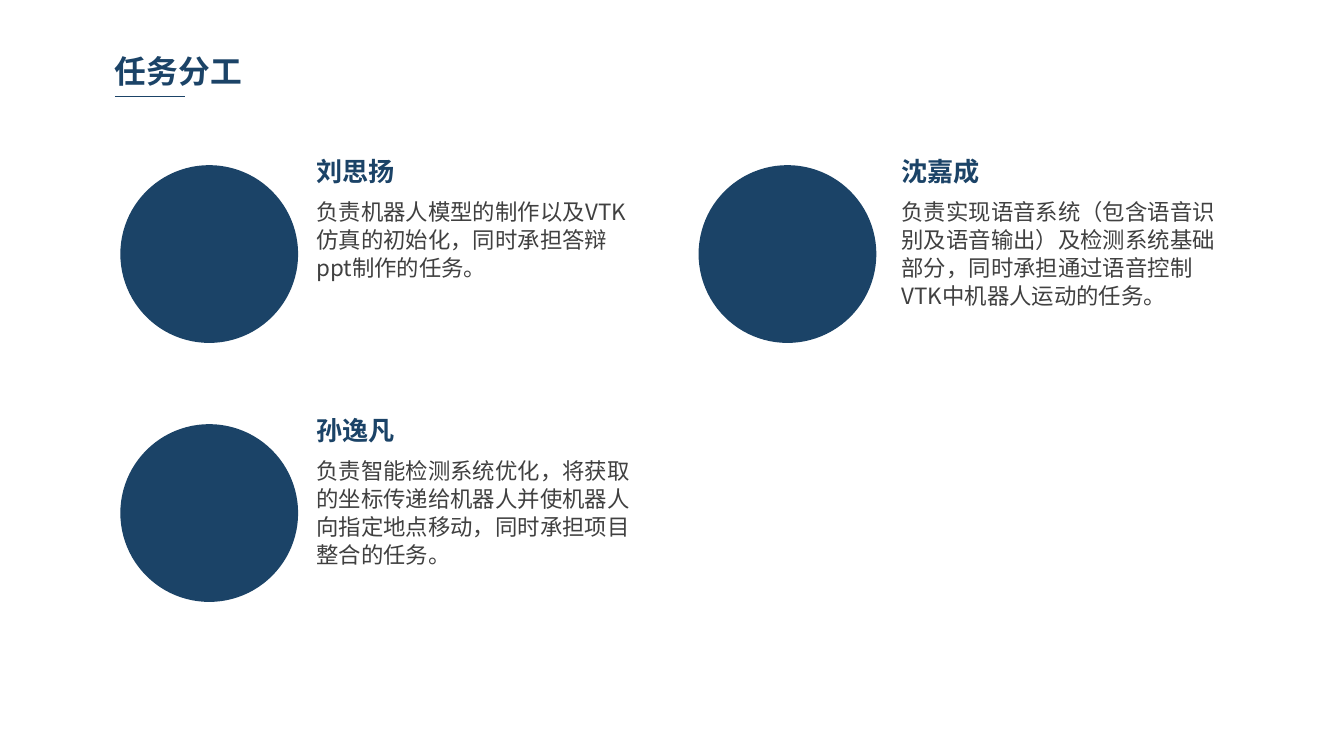
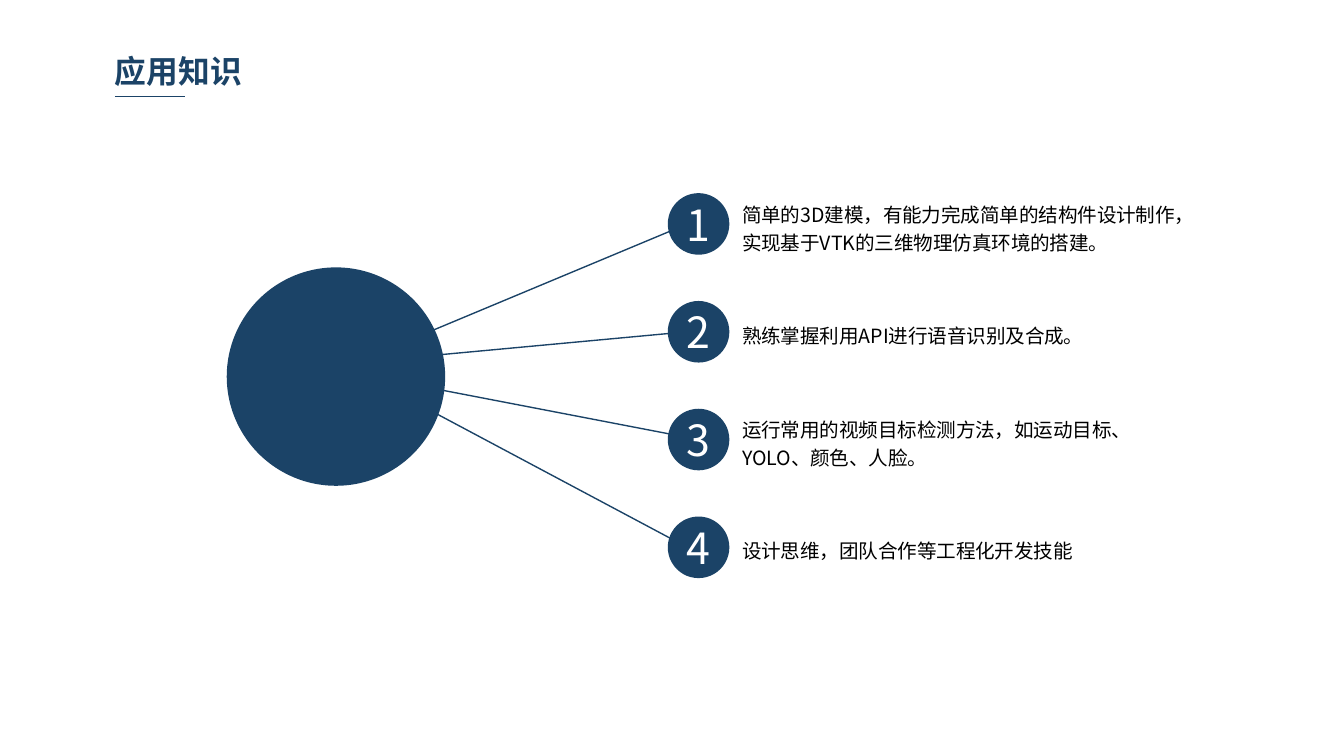
from dataclasses import dataclass

from pptx import Presentation
from pptx import util as u
from pptx.dml.color import RGBColor
from pptx.enum import shapes, text
from pptx.oxml.ns import qn

# Content
ROLES = [
    ("刘思扬", "负责机器人模型的制作以及VTK仿真的初始化，同时承担答辩ppt制作的任务。"),
    ("沈嘉成", "负责实现语音系统（包含语音识别及语音输出）及检测系统基础部分，"
               "同时承担通过语音控制VTK中机器人运动的任务。"),
    ("孙逸凡", "负责智能检测系统优化，将获取的坐标传递给机器人并使机器人向指定地点移动，"
               "同时承担项目整合的任务。"),
]
# Text, offset from the badge top, height
SKILLS = [
    ("简单的3D建模，有能力完成简单的结构件设计制作，实现基于VTK的三维物理仿真环境的搭建。", 0, 66),
    ("熟练掌握利用API进行语音识别及合成。", 9, 26),
    ("运行常用的视频目标检测方法，如运动目标、YOLO、颜色、人脸。", -1, 46),
    ("设计思维，团队合作等工程化开发技能", 9, 26),
]


# Theme
@dataclass(frozen=True)
class Theme:
    font: str = "Noto Sans CJK SC"
    navy: str = "1B4367"
    gray: str = "404040"
    black: str = "000000"
    white: str = "FFFFFF"
    title: float = 17
    name: float = 14
    body: float = 12
    skill: float = 10.5
    digit: float = 23
    lead: float = 15
    line: float = 0.75


T = Theme()
PAD = (7, 4)
MID = text.MSO_ANCHOR.MIDDLE
TOP = text.MSO_ANCHOR.TOP


def px(n):
    return u.Emu(n * 9525)  # 96 px to the inch


def rgb(code):
    return RGBColor.from_string(code)


# Shared parts
def write(shape, words, size, color, bold=False, pad=(0, 0), anchor=TOP,
          align=text.PP_ALIGN.LEFT, lead=None):
    frame = shape.text_frame
    frame.text = words
    frame.word_wrap = True
    frame.auto_size = text.MSO_AUTO_SIZE.NONE
    frame.vertical_anchor = anchor
    frame.margin_left = frame.margin_right = px(pad[0])
    frame.margin_top = frame.margin_bottom = px(pad[1])
    para = frame.paragraphs[0]
    para.alignment = align
    if lead:
        para.line_spacing = u.Pt(lead)
    for run in para.runs:
        font = run.font
        font.name, font.size, font.bold = T.font, u.Pt(size), bold
        font.color.rgb = rgb(color)
        east = font._element.makeelement(qn("a:ea"), {"typeface": T.font})
        font._element.find(qn("a:latin")).addnext(east)


def label(slide, box, words, size, color, **style):
    shape = slide.shapes.add_textbox(*map(px, box))
    write(shape, words, size, color, **style)


def disc(slide, x, y, size, kind=shapes.MSO_SHAPE.OVAL):
    shape = slide.shapes.add_shape(kind, px(x), px(y), px(size), px(size))
    shape.shadow.inherit = False
    shape.fill.solid()
    shape.fill.fore_color.rgb = rgb(T.navy)
    shape.line.fill.background()
    return shape


def link(slide, start, end):
    line = slide.shapes.add_connector(
        shapes.MSO_CONNECTOR.STRAIGHT, *map(px, start + end))
    line.line.color.rgb = rgb(T.navy)
    line.line.width = u.Pt(T.line)
    props = line._element.spPr
    props.append(props.makeelement(qn("a:effectLst"), {}))


def page(deck, words):
    slide = deck.slides.add_slide(deck.slide_layouts[5])
    head = slide.shapes.title
    head.left, head.top, head.width, head.height = map(px, (75, 33, 237, 35))
    write(head, words, T.title, T.navy, bold=True, pad=PAD, anchor=MID)
    link(slide, (82, 69), (132, 69))
    return slide


# Slide 1: one card for each member, two to a row
def roles(deck):
    slide = page(deck, "任务分工")
    cols = [(86, 226), (499, 644)]
    for i, (name, task) in enumerate(ROLES):
        row, col = divmod(i, len(cols))
        left, side = cols[col]
        top = 111 + 185 * row
        disc(slide, left, top + 7, 127, shapes.MSO_SHAPE.FLOWCHART_CONNECTOR)
        label(slide, (side, top, 147, 23), name, T.name, T.navy,
              bold=True, anchor=MID)
        label(slide, (side, top + 30, 227, 80), task, T.body, T.gray,
              lead=T.lead)


# Slide 2: a hub with lines to numbered skills
def skills(deck):
    slide = page(deck, "应用知识")
    size, left, first, step = 44, 477, 138, 77
    tops = [first + step * i for i in range(len(SKILLS))]
    starts = [(254, 259)] * 2 + [(260, 268)] * 2
    ends = [491, 491, 499, 491]
    for start, x, top in zip(starts, ends, tops):
        link(slide, start, (x, top + size // 2))
    disc(slide, 162, 191, 156)
    for i, (words, shift, high) in enumerate(SKILLS):
        badge = disc(slide, left, tops[i], size)
        write(badge, str(i + 1), T.digit, T.white, anchor=MID,
              align=text.PP_ALIGN.CENTER)
        label(slide, (523, tops[i] + shift, 326, high), words, T.skill,
              T.black, pad=PAD, lead=T.lead)


def main():
    deck = Presentation()
    deck.slide_width, deck.slide_height = px(960), px(540)
    roles(deck)
    skills(deck)
    deck.save("out.pptx")


if __name__ == "__main__":
    main()
